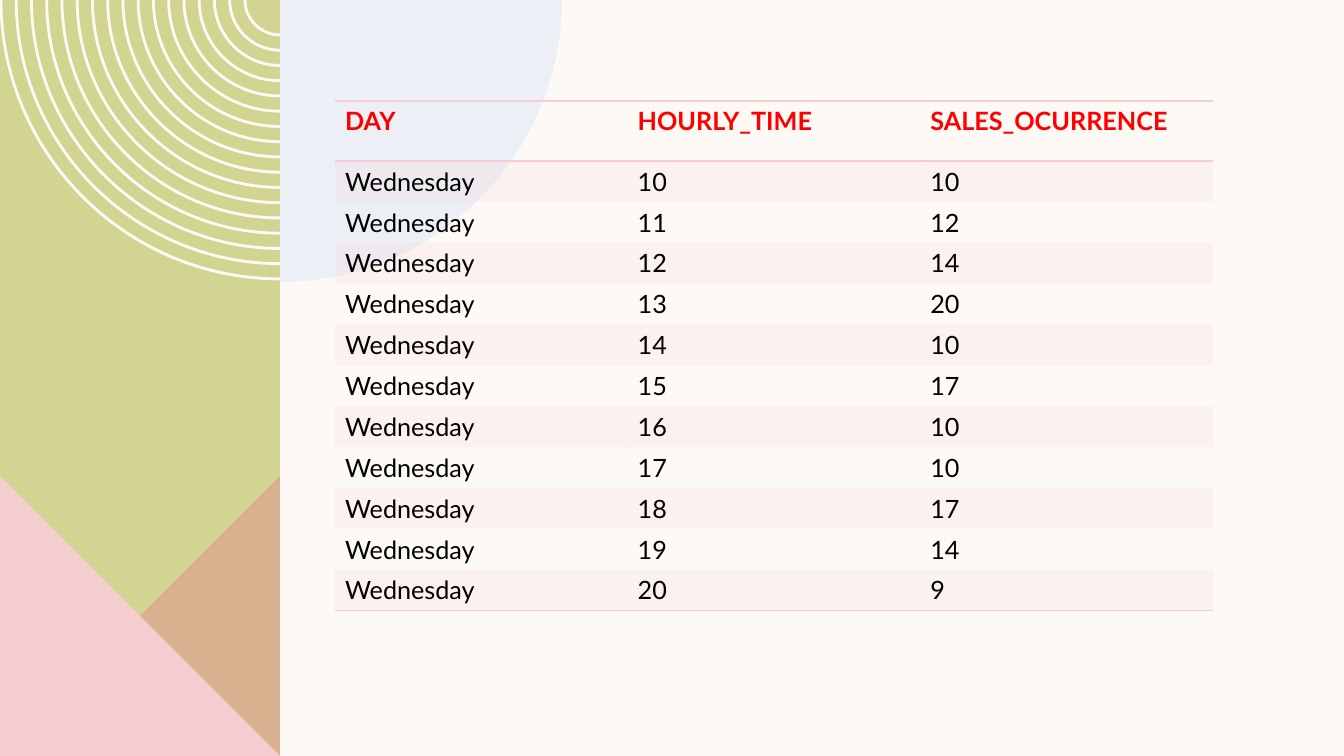
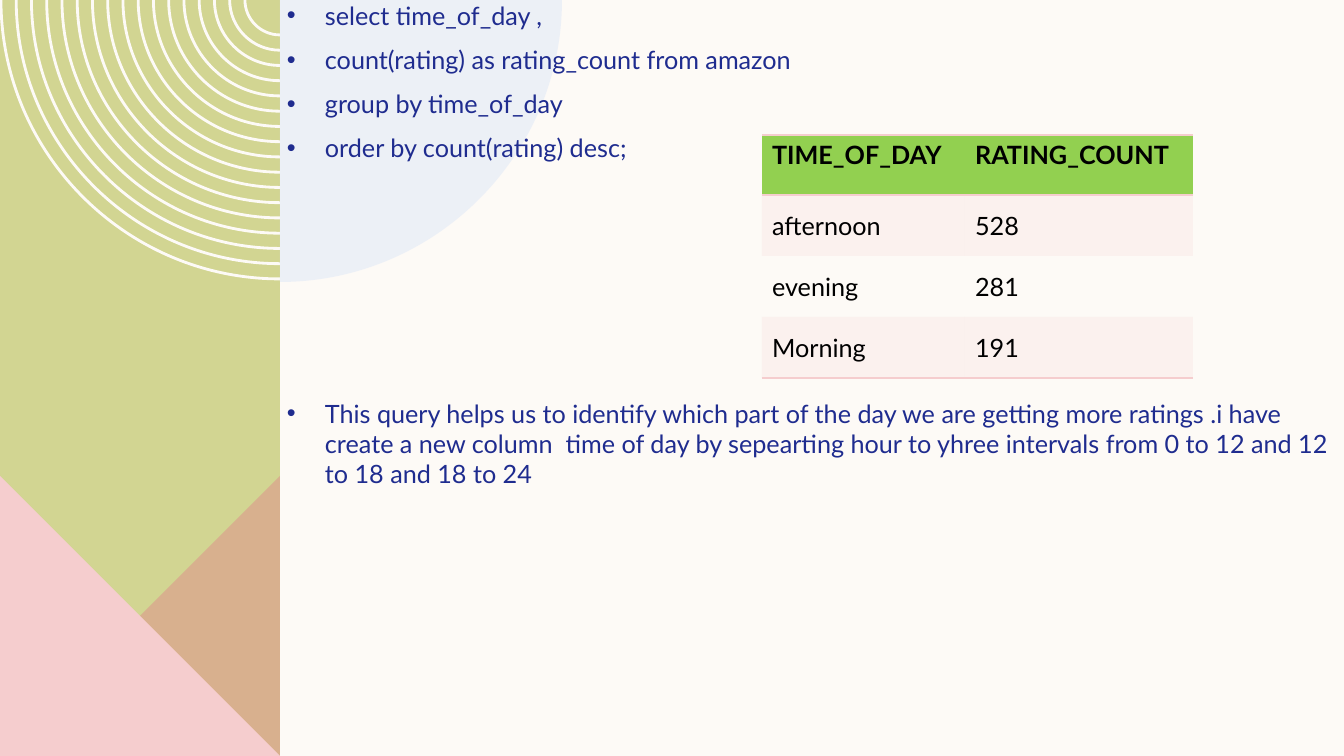
from lxml.etree import Element, SubElement
from pptx import Presentation
from pptx.dml.color import RGBColor
from pptx.enum.shapes import MSO_SHAPE
from pptx.enum.text import MSO_ANCHOR
from pptx.oxml import parse_xml
from pptx.oxml.ns import nsdecls, qn
from pptx.util import Pt

PX = 914400 / 100.8
SLIDE_WIDTH, SLIDE_HEIGHT = 1344, 756
BAND_WIDTH = 280
ARC_HANDLE = 0.55  # Bezier handle of a quarter circle, as a share of its radius
FONT = "Lato"
FONT_SIZE = Pt(18)
NO_TABLE_STYLE = "{2D5ABB26-0587-4C30-8999-92F81FD0307C}"
COLORS = {
    "cream": "FDFAF6",
    "olive": "D2D592",
    "rose": "DE8C8C",
    "pink": "F5CDCE",
    "sky": "DDE7F6",
    "navy": "1F2C8F",
    "red": "FF0000",
    "green": "92D050",
    "black": "000000",
}

DAY = "Wednesday"
SALES_HEADER = ["DAY", "HOURLY_TIME", "SALES_OCURRENCE"]
SALES_BY_HOUR = [10, 12, 14, 20, 10, 17, 10, 10, 17, 14, 9]
FIRST_HOUR = 10

QUERY = [
    "select time_of_day ,",
    "count(rating) as rating_count from amazon",
    "group by time_of_day",
    "order by count(rating) desc;",
]
QUERY_NOTE = [
    "This query helps us to identify which part of the day we are getting more "
    "ratings .i have create a new column  time of day by sepearting hour to yhree "
    "intervals from 0 to 12 and 12 to 18 and 18 to 24"
]
RATING_HEADER = ["TIME_OF_DAY", "RATING_COUNT"]
RATINGS = [["afternoon", 528], ["evening", 281], ["Morning", 191]]


def px(*lengths):
    return [round(length * PX) for length in lengths]


def set_fill(fill, color, opacity=100):
    fill.solid()
    fill.fore_color.rgb = RGBColor.from_string(COLORS[color])
    if opacity < 100:
        rgb = fill._xPr.find(qn("a:solidFill")).find(qn("a:srgbClr"))
        SubElement(rgb, qn("a:alpha")).set("val", str(opacity * 1000))


def set_font(paragraph, color, bold=False):
    font = paragraph.font
    font.name, font.size, font.bold = FONT, FONT_SIZE, bold
    font.color.rgb = RGBColor.from_string(COLORS[color])


def style_shape(shape, color, opacity=100):
    shape.shadow.inherit = False
    shape.line.fill.background()
    set_fill(shape.fill, color, opacity)


def add_preset(slide, kind, box, color, opacity=100, rotation=0):
    shape = slide.shapes.add_shape(kind, *px(*box))
    shape.rotation = rotation
    style_shape(shape, color, opacity)


def quarter_arc(center_x, center_y, radius, side):
    """Bezier points from beside the centre (side -1 left, 1 right) to below it."""
    handle = radius * ARC_HANDLE
    edge_x, bottom = center_x + side * radius, center_y + radius
    return [(edge_x, center_y), (edge_x, center_y + handle),
            (center_x + side * handle, bottom), (center_x, bottom)]


def add_curves(slide, outlines, close):
    """Draw outlines as one shape; the first four points of each are a Bezier curve."""
    outlines = [[px(*point) for point in outline] for outline in outlines]
    builder = slide.shapes.build_freeform(*outlines[0][0])
    for number, outline in enumerate(outlines):
        if number:
            builder.move_to(*outline[0])
        builder.add_line_segments(outline[1:], close=close)
    shape = builder.convert_to_shape()
    for start in list(shape._element.iter(qn("a:moveTo"))):
        segments = list(start.itersiblings())[:3]
        curve = Element(qn("a:cubicBezTo"))
        start.addnext(curve)
        for segment in segments:
            curve.append(segment[0])
            segment.getparent().remove(segment)
    return shape


def add_rings(slide, center_x, center_y, inner=35, outer=279, count=17):
    gap = (outer - inner) / (count - 1)
    rings = [quarter_arc(center_x, center_y, inner + gap * number, -1)
             for number in range(count)]
    shape = add_curves(slide, rings, close=False)
    shape.shadow.inherit = False
    shape.fill.background()
    set_fill(shape.line.fill, "cream")
    shape.line.width = Pt(2)


def add_decoration(slide, left, top, width, height):
    """Side band with rings and triangles, and the quarter disc beside it."""
    right = left + width
    triangle = (left, top + height - width, width, width)
    add_preset(slide, MSO_SHAPE.RECTANGLE, (left, top, width, height), "olive")
    add_rings(slide, right, top)
    add_preset(slide, MSO_SHAPE.RIGHT_TRIANGLE, triangle, "rose", 50, 270)
    add_preset(slide, MSO_SHAPE.RIGHT_TRIANGLE, triangle, "pink")
    disc = quarter_arc(right, top, 282, 1) + [(right, top)]
    style_shape(add_curves(slide, [disc], close=True), "sky", 50)


def add_border(cell, side):
    line = parse_xml(
        f'<a:{side} {nsdecls("a")} w="12700"><a:solidFill>'
        f'<a:srgbClr val="{COLORS["pink"]}"/></a:solidFill></a:{side}>'
    )
    cell._tc.get_or_add_tcPr().insert(0, line)


def add_data_table(slide, left, top, widths, heights, header, rows,
                   header_color, header_fill=None):
    content = [header] + rows
    frame = slide.shapes.add_table(
        len(content), len(header), *px(left, top, sum(widths), sum(heights)))
    table = frame.table
    table.first_row = table.horz_banding = False
    table._tbl.tblPr.find(qn("a:tableStyleId")).text = NO_TABLE_STYLE
    for column, width in zip(table.columns, widths):
        column.width = round(width * PX)
    for row, height in zip(table.rows, heights):
        row.height = round(height * PX)
    for row_number, values in enumerate(content):
        is_header = row_number == 0
        for column_number, value in enumerate(values):
            cell = table.cell(row_number, column_number)
            cell.text = str(value)
            cell.vertical_anchor = MSO_ANCHOR.TOP if is_header else MSO_ANCHOR.MIDDLE
            set_font(cell.text_frame.paragraphs[0],
                     header_color if is_header else "black", is_header)
            if is_header and header_fill:
                set_fill(cell.fill, header_fill)
            elif row_number % 2:
                set_fill(cell.fill, "pink", 20)
            else:
                cell.fill.background()
            # Rules run around the header and below the last row
            if is_header or row_number == len(rows):
                add_border(cell, "lnB")
            if is_header:
                add_border(cell, "lnT")


def add_bullets(slide, left, top, width, height, lines, indent=38):
    frame = slide.shapes.add_textbox(*px(left, top, width, height)).text_frame
    frame.word_wrap = True
    frame.margin_top = frame.margin_bottom = 0
    for number, line in enumerate(lines):
        paragraph = frame.add_paragraph() if number else frame.paragraphs[0]
        paragraph.text = line
        properties = paragraph._p.get_or_add_pPr()
        properties.set("marL", str(round(indent * PX)))
        properties.set("indent", str(-round(indent * PX)))
        SubElement(properties, qn("a:buFont")).set("typeface", "Arial")
        SubElement(properties, qn("a:buChar")).set("char", "•")
        if number:
            paragraph.space_before = Pt(10)
        set_font(paragraph, "navy")


def add_base_slide(presentation):
    slide = presentation.slides.add_slide(presentation.slide_layouts[6])
    set_fill(slide.background.fill, "cream")
    add_decoration(slide, 0, 0, BAND_WIDTH, SLIDE_HEIGHT)
    return slide


def add_sales_slide(presentation):
    slide = add_base_slide(presentation)
    rows = [[DAY, hour, sales] for hour, sales in enumerate(SALES_BY_HOUR, FIRST_HOUR)]
    row_height = 450 / len(rows)
    add_data_table(slide, 335, 101, [878 / 3] * 3, [60] + [row_height] * len(rows),
                   SALES_HEADER, rows, "red")


def add_rating_slide(presentation):
    slide = add_base_slide(presentation)
    left = 277
    width = SLIDE_WIDTH - left
    add_bullets(slide, left, 0, width, 180, QUERY)
    add_bullets(slide, left, 398, width, 100, QUERY_NOTE)
    add_data_table(slide, 762, 135, [203, 228], [60] + [61] * len(RATINGS),
                   RATING_HEADER, RATINGS, "black", "green")


def main():
    presentation = Presentation()
    presentation.slide_width, presentation.slide_height = px(SLIDE_WIDTH, SLIDE_HEIGHT)
    add_sales_slide(presentation)
    add_rating_slide(presentation)
    presentation.save("out.pptx")


if __name__ == "__main__":
    main()
